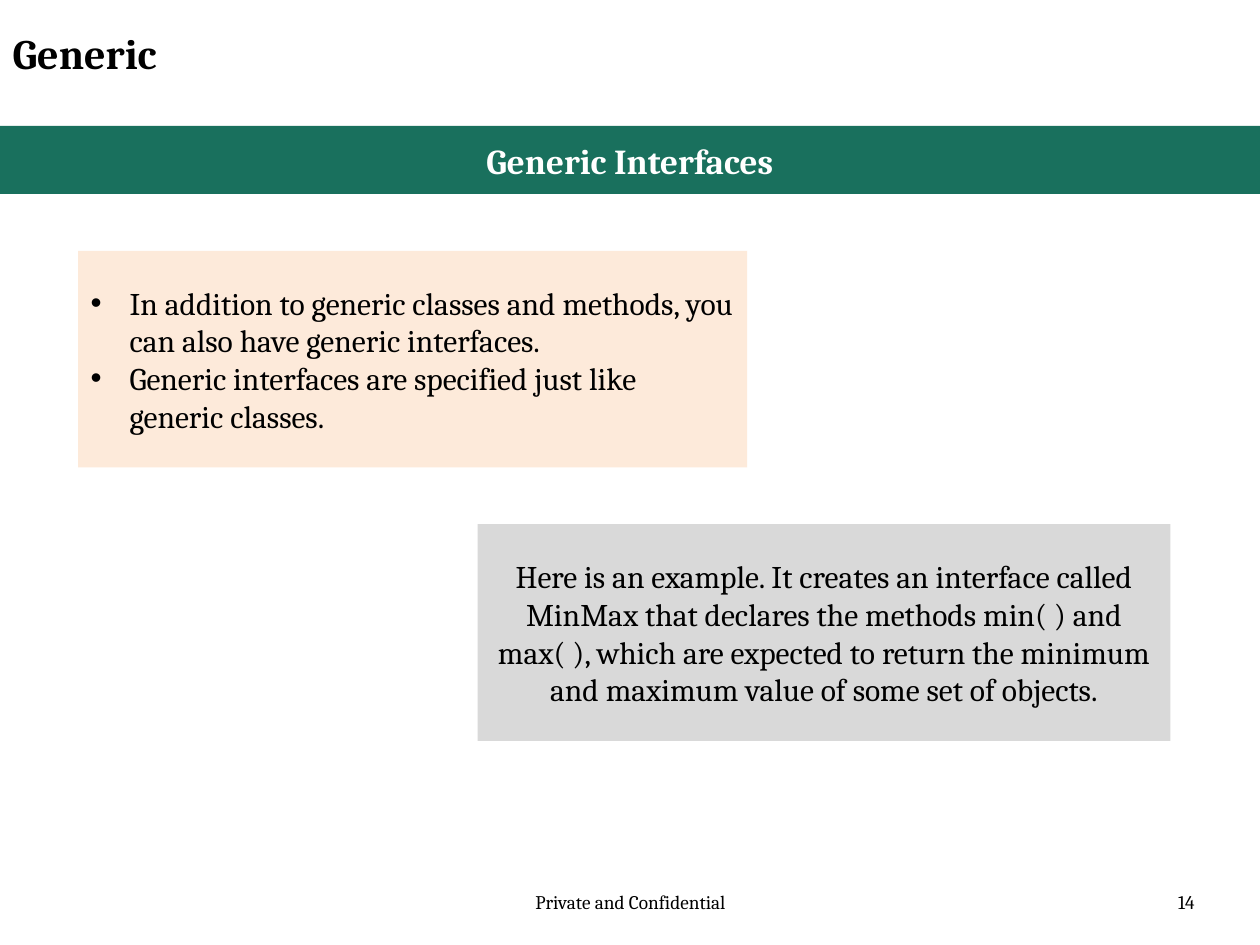
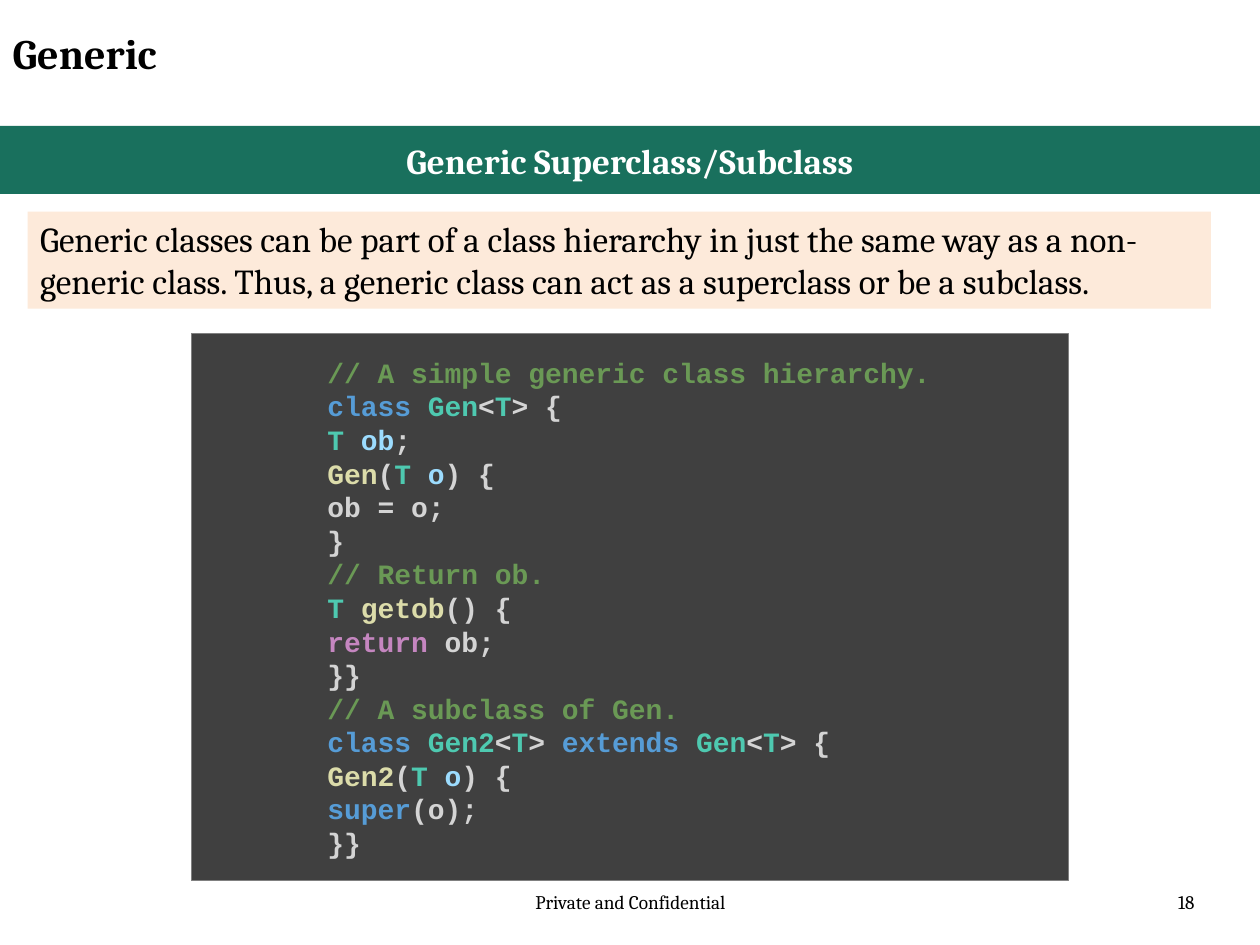
from lxml.etree import SubElement
from pptx import Presentation
from pptx.dml.color import RGBColor
from pptx.enum.shapes import MSO_SHAPE as Preset
from pptx.enum.text import MSO_ANCHOR as Anchor, MSO_AUTO_SIZE as AutoSize, PP_ALIGN as Align
from pptx.oxml.ns import qn
from pptx.util import Inches, Pt

COLORS = {
    "text": "000000", "white": "FFFFFF", "band": "19705D",
    "peach": "FDEADA", "gray": "D9D9D9",
    "editor": "404040", "editor_line": "808080",
    # Syntax colours of the code listing
    "comment": "6A9955", "keyword": "569CD6", "type": "4EC9B0", "plain": "D4D4D4",
    "variable": "9CDCFE", "method": "DCDCAA", "control": "C586C0",
}
FONT = "Cambria"
CODE_FONT = "Courier New"

# Content
TITLE = "Generic"
FOOTER = "Private and Confidential"

INTERFACE_POINTS = [
    "In addition to generic classes and methods, you can also have generic interfaces.",
    "Generic interfaces are specified just like generic classes.",
]
INTERFACE_EXAMPLE = (
    "Here is an example. It creates an interface called MinMax that declares the methods "
    "min( ) and max( ), which are expected to return the minimum and maximum value of "
    "some set of objects."
)
HIERARCHY_NOTE = (
    "Generic classes can be part of a class hierarchy in just the same way as a non-generic "
    "class. Thus, a generic class can act as a superclass or be a subclass."
)

TYPE_ARGUMENT = [("<", "plain"), ("T", "type")]
CONSTRUCTOR_ARGUMENT = [("(", "plain"), ("T ", "type"), ("o", "variable"), (") {", "plain")]
CODE_LINES = [
    [("// A simple generic class hierarchy.", "comment")],
    [("class ", "keyword"), ("Gen", "type"), *TYPE_ARGUMENT, ("> {", "plain")],
    [("T ", "type"), ("ob", "variable"), (";", "plain")],
    [("Gen", "method"), *CONSTRUCTOR_ARGUMENT],
    [("ob = o;", "plain")],
    [("}", "plain")],
    [("// Return ob.", "comment")],
    [("T ", "type"), ("getob", "method"), ("() {", "plain")],
    [("return ", "control"), ("ob;", "plain")],
    [("}}", "plain")],
    [("// A subclass of Gen.", "comment")],
    [("class ", "keyword"), ("Gen2", "type"), *TYPE_ARGUMENT, ("> ", "plain"),
     ("extends ", "keyword"), ("Gen", "type"), *TYPE_ARGUMENT, ("> {", "plain")],
    [("Gen2", "method"), *CONSTRUCTOR_ARGUMENT],
    [("super", "keyword"), ("(o);", "plain")],
    [("}}", "plain")],
]


def color(name):
    return RGBColor.from_string(COLORS[name])


def write(shape, lines, size, align=Align.LEFT, anchor=Anchor.TOP, inset=0.05,
          font=FONT, bold=False, ink="text", line_spacing=None):
    """Fill a shape with lines; each is a string or a list of (text, colour) runs."""
    frame = shape.text_frame
    frame_format = {
        "word_wrap": True, "auto_size": AutoSize.NONE, "vertical_anchor": anchor,
        "margin_left": Inches(0.1), "margin_right": Inches(0.1),
        "margin_top": Inches(inset), "margin_bottom": Inches(inset),
    }
    for name, value in frame_format.items():
        setattr(frame, name, value)
    for index, line in enumerate(lines):
        paragraph = frame.add_paragraph() if index else frame.paragraphs[0]
        paragraph.alignment = align
        paragraph.line_spacing = line_spacing
        for text, run_color in [(line, ink)] if isinstance(line, str) else line:
            run = paragraph.add_run()
            run.text = text
            for name, value in {"name": font, "size": Pt(size), "bold": bold}.items():
                setattr(run.font, name, value)
            run.font.color.rgb = color(run_color)


def indent(shape, left, bullet=None):
    """Indent every paragraph, hanging a bullet in the indent if one is given."""
    for paragraph in shape.text_frame.paragraphs:
        properties = paragraph._p.get_or_add_pPr()
        properties.set("marL", str(Inches(left)))
        if bullet:
            properties.set("indent", str(-Inches(left)))
            SubElement(properties, qn("a:buFont")).set("typeface", "Arial")
            SubElement(properties, qn("a:buChar")).set("char", bullet)


def add_panel(slide, box, fill, lines, size, line=None, **text_format):
    shape = slide.shapes.add_shape(Preset.RECTANGLE, *map(Inches, box))
    shape.shadow.inherit = False
    shape.fill.solid()
    shape.fill.fore_color.rgb = color(fill)
    if line:
        shape.line.color.rgb = color(line)
        shape.line.width = Pt(0.75)
    else:
        shape.line.fill.background()
    write(shape, lines, size, **text_format)
    return shape


def add_topic_slide(presentation, topic, number):
    """Add a slide with the shared title, topic band and footers."""
    slide = presentation.slides.add_slide(presentation.slide_layouts[5])
    title = slide.shapes.title
    title.left, title.top, title.width, title.height = map(Inches, (0, 0.17, 7.58, 0.62))
    write(title, [TITLE], 24, bold=True)

    add_panel(slide, (0, 1, 10, 0.54), "band", [topic], 20, bold=True, ink="white",
              align=Align.CENTER, anchor=Anchor.MIDDLE, inset=0.1)

    footers = [(3.42, 3.17, FOOTER, Align.CENTER), (7.25, 2.33, str(number), Align.RIGHT)]
    for left, width, text, align in footers:
        footer = slide.shapes.add_textbox(*map(Inches, (left, 7.02, width, 0.4)))
        write(footer, [text], 11, align=align)
    return slide


def main():
    presentation = Presentation()
    presentation.slide_width, presentation.slide_height = Inches(10), Inches(7.5)
    middle = {"anchor": Anchor.MIDDLE, "inset": 0.1}

    # Generic interfaces
    slide = add_topic_slide(presentation, "Generic Interfaces", 14)
    points = add_panel(slide, (0.62, 1.99, 5.31, 1.72), "peach", INTERFACE_POINTS, 18, **middle)
    indent(points, 0.31, bullet="•")
    add_panel(slide, (3.79, 4.16, 5.5, 1.72), "gray", [INTERFACE_EXAMPLE], 18,
              align=Align.CENTER, **middle)

    # Generic class hierarchy
    slide = add_topic_slide(presentation, "Generic Superclass/Subclass", 18)
    add_panel(slide, (0.22, 1.68, 9.39, 0.77), "peach", [HIERARCHY_NOTE], 20)
    code = add_panel(slide, (1.52, 2.65, 6.96, 4.34), "editor", CODE_LINES, 16,
                     line="editor_line", font=CODE_FONT, bold=True,
                     line_spacing=Pt(19.2), **middle)
    indent(code, 0.98)

    presentation.save("out.pptx")


if __name__ == "__main__":
    main()
